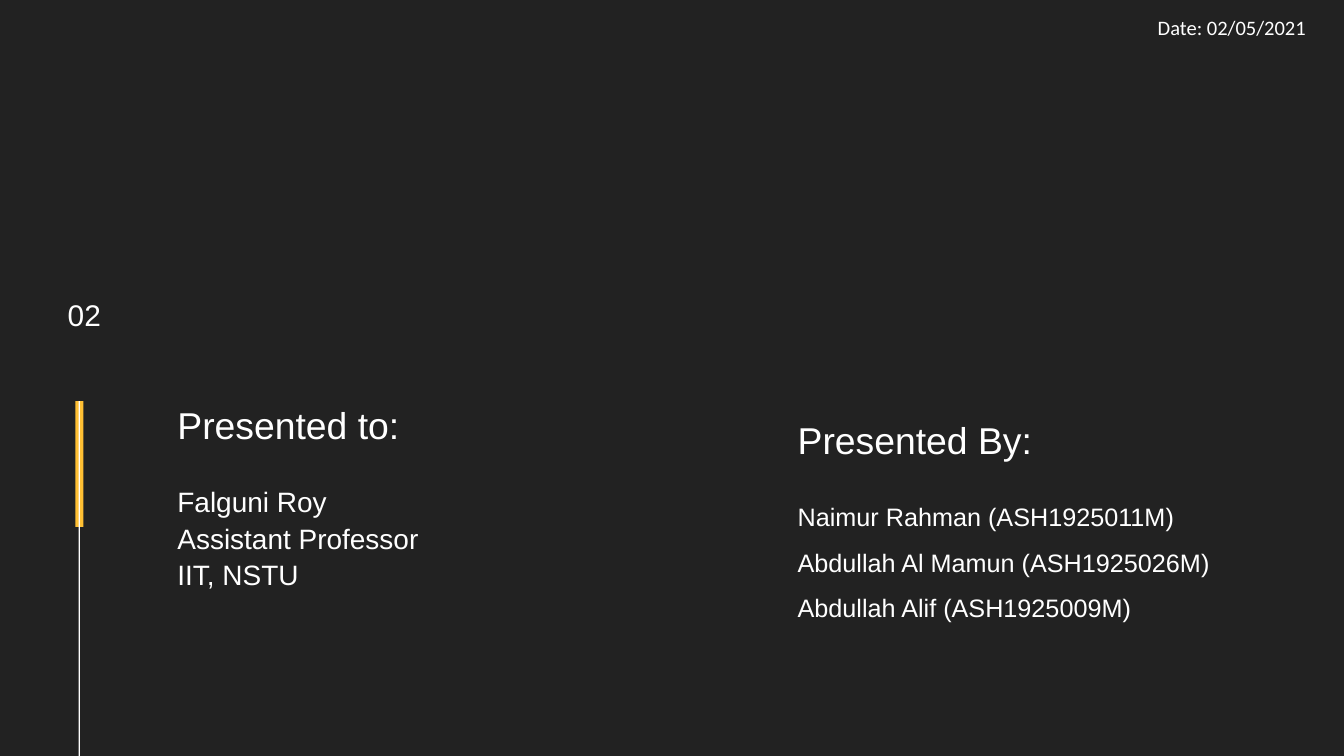
from dataclasses import dataclass

from pptx import Presentation
from pptx.dml.color import RGBColor
from pptx.enum.shapes import MSO_SHAPE
from pptx.enum.text import MSO_AUTO_SIZE, PP_ALIGN
from pptx.util import Inches, Pt

RECT = MSO_SHAPE.RECTANGLE
GROW = MSO_AUTO_SIZE.SHAPE_TO_FIT_TEXT
LEFT, CENTER = PP_ALIGN.LEFT, PP_ALIGN.CENTER
WIDE, HIGH = 20, 11.25


@dataclass(frozen=True)
class Theme:
    back: str = "222222"
    gold: str = "FFC033"
    white: str = "FFFFFF"
    body: str = "Arial"
    plain: str = "Calibri"
    head: int = 40
    number: int = 32
    host: int = 30
    team: int = 27
    date: int = 22


class Deck:
    def __init__(self, theme, slide):
        self.theme = theme
        self.slide = slide
        self.fill(slide.background.fill, theme.back)

    def fill(self, fill, color):
        fill.solid()
        fill.fore_color.rgb = RGBColor.from_string(color)

    def bar(self, left, top, width, height, color):
        box = map(Inches, (left, top, width, height))
        shape = self.slide.shapes.add_shape(RECT, *box)
        shape.shadow.inherit = False
        self.fill(shape.fill, color)
        shape.line.fill.background()

    def text(self, area, lines, font=None, inset=0, **style):
        """Each line is (text, size, space before)."""
        frame = self.slide.shapes.add_textbox(*map(Inches, area)).text_frame
        sides = ("left", "top", "right", "bottom")
        form = {f"margin_{side}": Inches(inset) for side in sides}
        form.update(word_wrap=True, auto_size=GROW)
        for name, value in form.items():
            setattr(frame, name, value)
        for i, (words, size, gap) in enumerate(lines):
            para = frame.add_paragraph() if i else frame.paragraphs[0]
            for name, value in {"space_before": Pt(gap), **style}.items():
                setattr(para, name, value)
            run = para.add_run()
            run.text = words
            look = {"name": font or self.theme.body, "size": Pt(size)}
            for name, value in look.items():
                setattr(run.font, name, value)
            run.font.color.rgb = RGBColor.from_string(self.theme.white)

    def people(self, area, head, names, size, gap, spacing):
        lines = [(head, self.theme.head, 0)]
        lines += [(name, size, 0 if i else gap) for i, name in enumerate(names)]
        self.text(area, lines, alignment=LEFT, line_spacing=spacing)


def main():
    prs = Presentation()
    prs.slide_width, prs.slide_height = Inches(WIDE), Inches(HIGH)
    theme = Theme()
    deck = Deck(theme, prs.slides.add_slide(prs.slide_layouts[6]))

    # Side marker: gold bar with a thin line down to the slide edge
    top = 5.97
    deck.bar(1.12, top, 0.12, 1.87, theme.gold)
    deck.bar(1.17, top, 0.02, HIGH - top, theme.white)

    # Slide number
    deck.text((0.73, 4.41, 1.05, 0.48), [("02", theme.number, 0)],
              alignment=CENTER)

    # Host and team
    deck.people((2.64, 5.92, 5.96, 2.88), "Presented to:",
                ["Falguni Roy", "Assistant Professor", "IIT, NSTU"],
                theme.host, 36, 1.1)
    deck.people((11.87, 5.88, 6.53, 3.21), "Presented By:",
                ["Naimur Rahman (ASH1925011M)",
                 "Abdullah Al Mamun (ASH1925026M)",
                 "Abdullah Alif (ASH1925009M)"],
                theme.team, 26, 1.5)

    # Date
    deck.text((17.13, 0.12, 2.68, 0.57),
              [("Date: 02/05/2021", theme.date, 0)],
              font=theme.plain, inset=0.1)

    prs.save("out.pptx")


if __name__ == "__main__":
    main()
